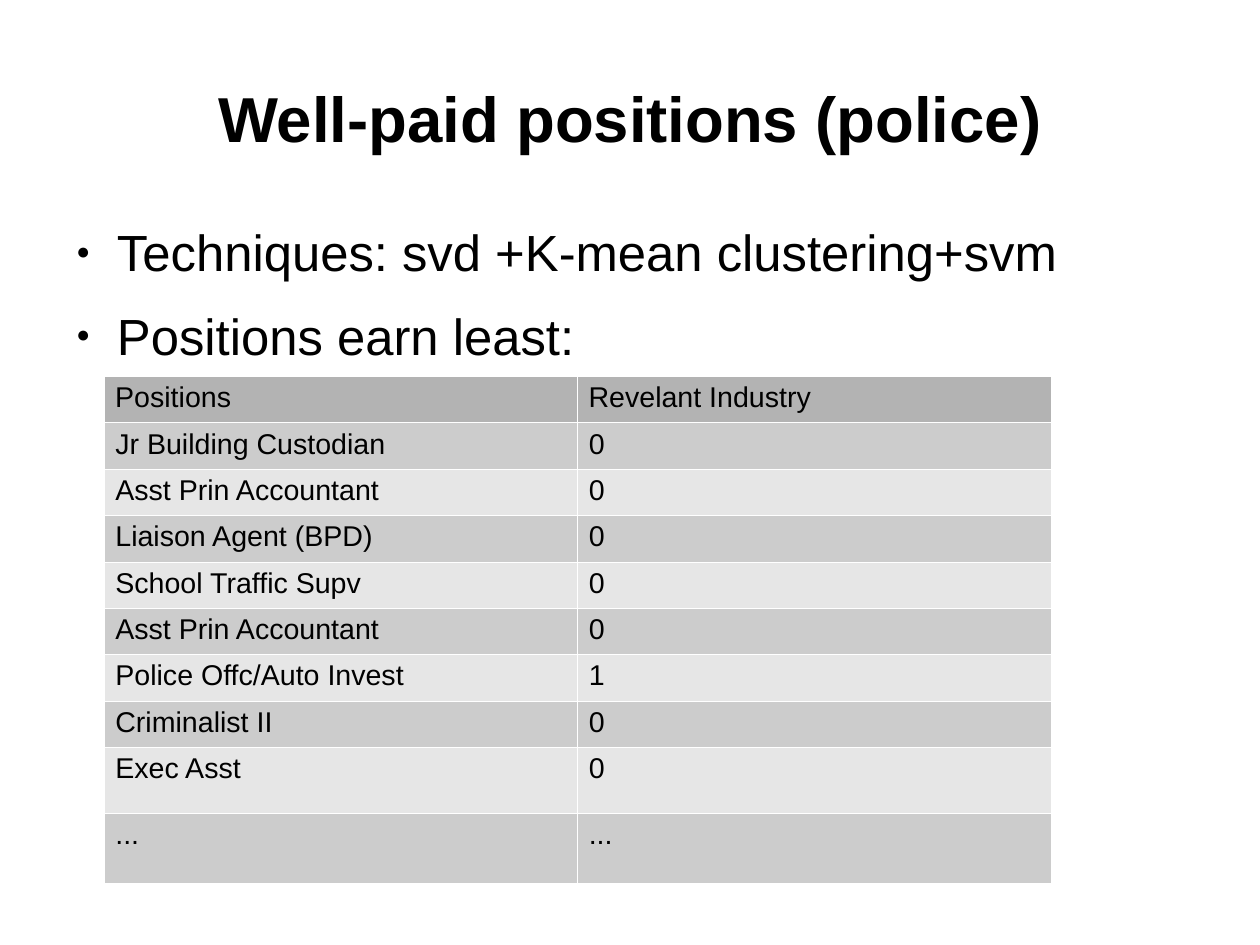
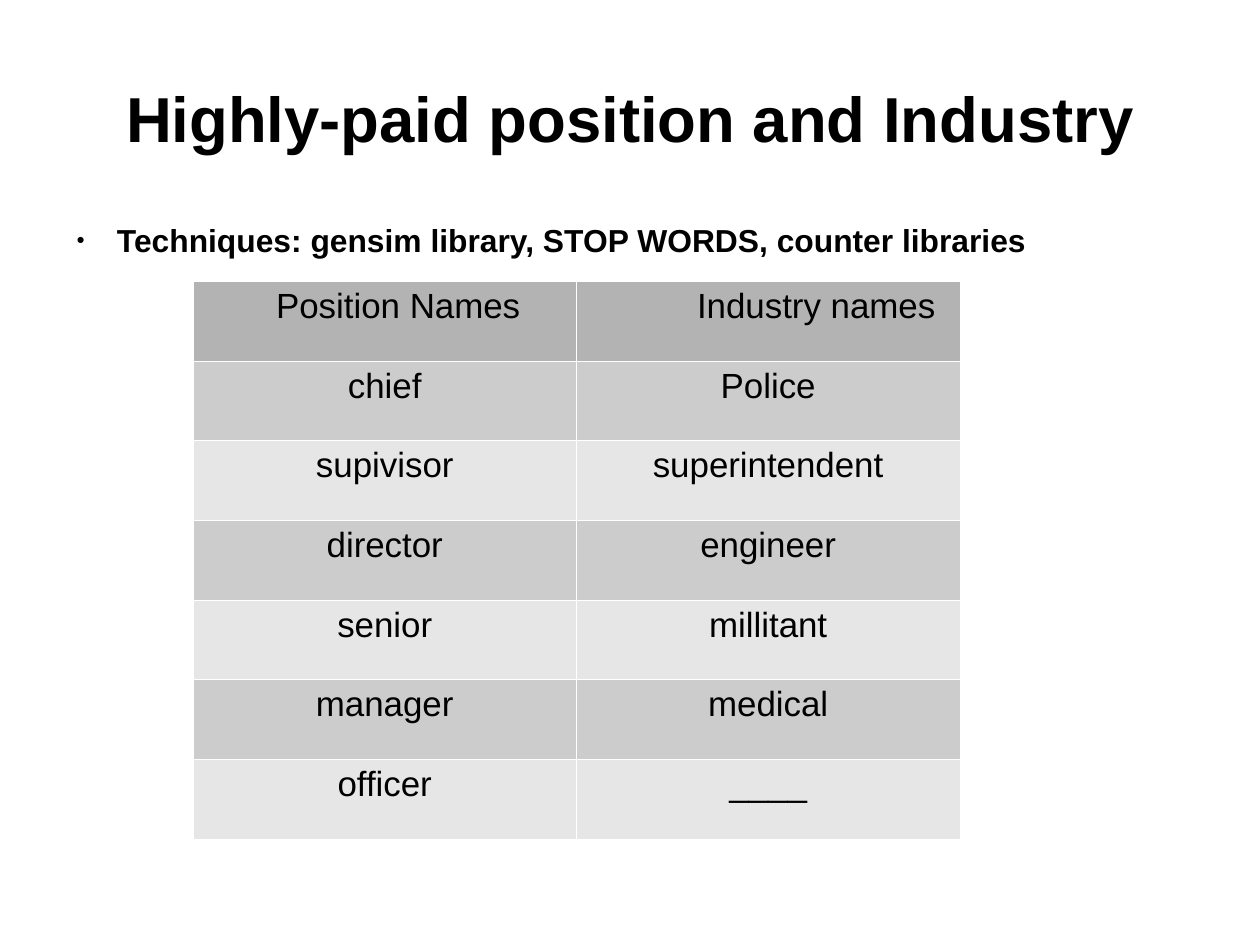
from lxml.etree import SubElement
from pptx import Presentation
from pptx.dml.color import RGBColor
from pptx.enum.text import MSO_ANCHOR, PP_ALIGN
from pptx.oxml import parse_xml
from pptx.oxml.ns import nsdecls, qn
from pptx.util import Cm, Pt

HUES = {"ink": "000000", "edge": "FFFFFF", "head": "B3B3B3",
        "odd": "CCCCCC", "even": "E6E6E6"}
FONT = "Arial"
EDGE = Pt(0.06)

# Content: bullets and one table per slide
PAGES = [
    {
        "title": "Well-paid positions (police)",
        "lines": ["Techniques: svd +K-mean clustering+svm",
                  "Positions earn least:"],
        "size": 32, "bold": False,
        "at": (2.31, 8.36), "width": 10.52,
        "tall": [1.03] * 8 + [1.47, 1.55],
        "cell": {"size": 18},
        "shift": (0, 0),
        "rows": [
            ("Positions", "Revelant Industry"),
            ("Jr Building Custodian", "0"),
            ("Asst Prin Accountant", "0"),
            ("Liaison Agent (BPD)", "0"),
            ("School Traffic Supv", "0"),
            ("Asst Prin Accountant", "0"),
            ("Police Offc/Auto Invest", "1"),
            ("Criminalist II", "0"),
            ("Exec Asst", "0"),
            ("...", "..."),
        ],
    },
    {
        "title": "Highly-paid position and Industry",
        "lines": ["Techniques: gensim library, STOP WORDS, counter libraries"],
        "size": 20, "bold": True,
        "at": (4.29, 6.25), "width": 8.52,
        "tall": [1.77] * 7,
        "cell": {"size": 22, "align": PP_ALIGN.CENTER},
        "shift": (0.6, 2.14),
        "rows": [
            ("Position Names", "Industry names"),
            ("chief", "Police"),
            ("supivisor", "superintendent"),
            ("director", "engineer"),
            ("senior", "millitant"),
            ("manager", "medical"),
            ("officer", "____"),
        ],
    },
]


def write(frame, *lines, size=18, bold=False, align=PP_ALIGN.LEFT,
          after=0, bullet=False):
    """Fill a text frame with one formatted paragraph per line."""
    frame.word_wrap = True
    for i, line in enumerate(lines):
        para = frame.paragraphs[0] if i == 0 else frame.add_paragraph()
        para.alignment = align
        para.space_after = Pt(after)
        run = para.add_run()
        run.text = line
        run.font.name = FONT
        run.font.size = Pt(size)
        run.font.bold = bold
        run.font.color.rgb = RGBColor.from_string(HUES["ink"])
        if bullet:
            props = para._p.get_or_add_pPr()
            props.set("marL", str(Cm(1.2)))
            props.set("indent", str(Cm(-0.9)))
            tint = SubElement(props, qn("a:buClr"))
            SubElement(tint, qn("a:srgbClr"), val=HUES["ink"])
            SubElement(props, qn("a:buSzPct"), val="45000")
            SubElement(props, qn("a:buFont"), typeface=FONT)
            SubElement(props, qn("a:buChar"), char="●")


def paint(cell, hue):
    """Give a cell its fill and four thin borders."""
    cell.fill.solid()
    cell.fill.fore_color.rgb = RGBColor.from_string(HUES[hue])
    props = cell._tc.get_or_add_tcPr()
    for i, side in enumerate("LRTB"):
        props.insert(i, parse_xml(
            f'<a:ln{side} {nsdecls("a")} w="{EDGE}"><a:solidFill>'
            f'<a:srgbClr val="{HUES["edge"]}"/></a:solidFill></a:ln{side}>'))


deck = Presentation()
deck.slide_width, deck.slide_height = Cm(28), Cm(21)

for page in PAGES:
    slide = deck.slides.add_slide(deck.slide_layouts[5])

    # Title and body share margins and zero insets
    title = slide.shapes.title
    title.left, title.top = Cm(1.4), Cm(0.84)
    title.width, title.height = Cm(25.2), Cm(3.51)
    body = slide.shapes.add_textbox(Cm(1.4), Cm(4.91), Cm(25.2), Cm(12.17))
    for shape in (title, body):
        frame = shape.text_frame
        frame.margin_left = frame.margin_right = 0
        frame.margin_top = frame.margin_bottom = 0
    title.text_frame.vertical_anchor = MSO_ANCHOR.MIDDLE
    write(title.text_frame, page["title"], size=40, bold=True,
          align=PP_ALIGN.CENTER)
    write(body.text_frame, *page["lines"], size=page["size"],
          bold=page["bold"], after=14.2, bullet=True)

    # Table with grey bands
    rows, tall = page["rows"], page["tall"]
    left, top = page["at"]
    grid = slide.shapes.add_table(
        len(rows), 2, Cm(left), Cm(top),
        Cm(2 * page["width"]), Cm(sum(tall))).table
    grid.first_row = grid.horz_banding = False
    for col in grid.columns:
        col.width = Cm(page["width"])
    for r, row in enumerate(rows):
        grid.rows[r].height = Cm(tall[r])
        hue = "head" if r == 0 else "odd" if r % 2 else "even"
        for c, text in enumerate(row):
            cell = grid.cell(r, c)
            paint(cell, hue)
            write(cell.text_frame, text, **page["cell"])
            if r == 0:
                cell.margin_left = Cm(0.25 + page["shift"][c])

deck.save("out.pptx")
